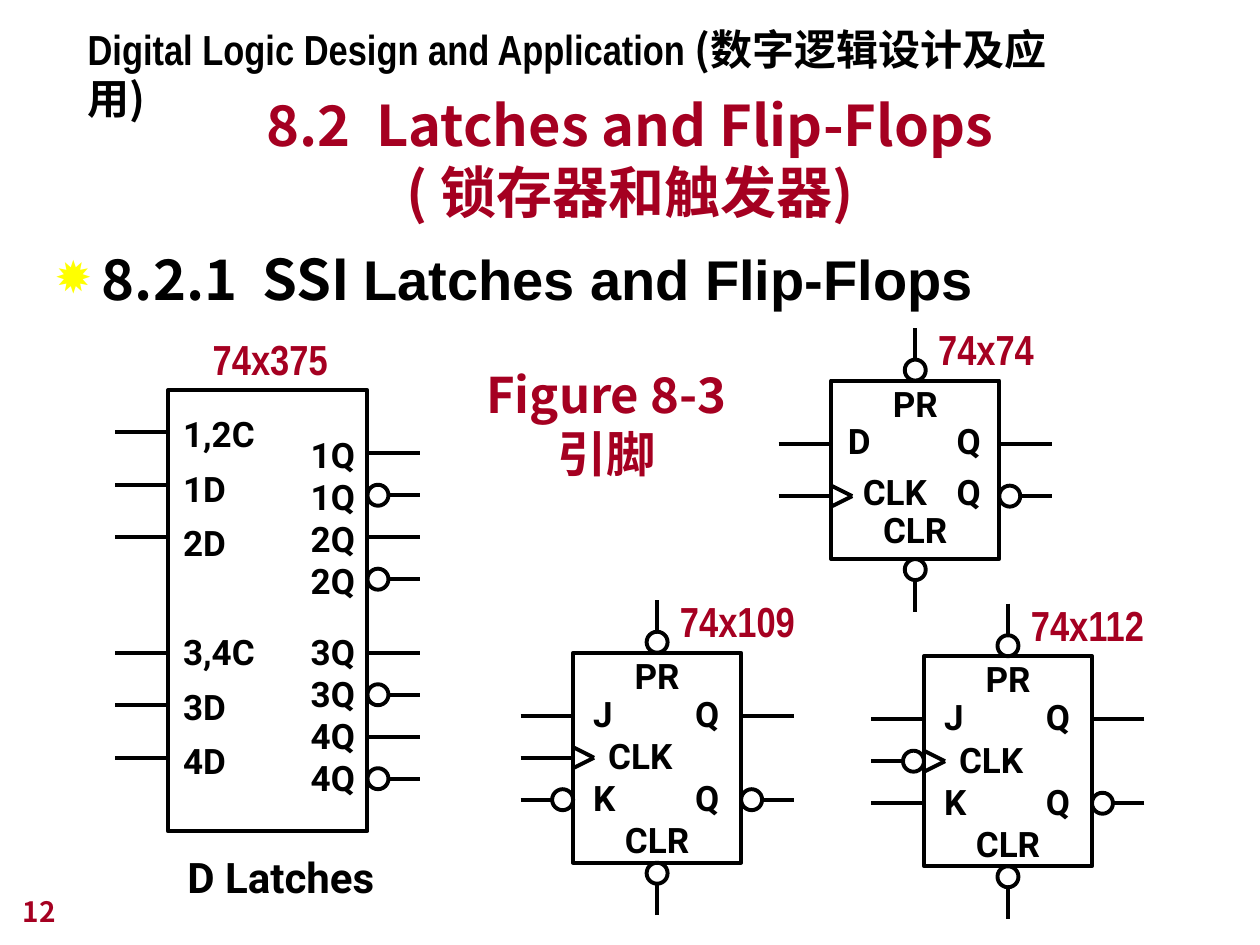
from lxml.etree import SubElement
from pptx import Presentation
from pptx.dml.color import RGBColor
from pptx.enum.shapes import MSO_CONNECTOR as CXN, MSO_SHAPE as SHAPE
from pptx.enum.text import MSO_ANCHOR as ANCHOR, MSO_AUTO_SIZE as FIT, PP_ALIGN as ALIGN
from pptx.oxml.ns import qn
from pptx.util import Pt

BLACK = RGBColor(0, 0, 0)
RED = RGBColor(0xA5, 0x00, 0x21)
CJK, NARROW, ROBOTO = "Noto Sans CJK JP", "Arial Narrow", "Roboto"
LEAD, BUBBLE = 30, 12  # pin length and inversion circle diameter


def add_run(p, text, size, font, color=BLACK):
    r = p.add_run()
    r.text = text
    f = r.font
    f.size, f.name, f.bold = Pt(size), font, True
    f.color.rgb = color
    SubElement(r.font._element, qn("a:ea"), typeface=font)


def set_frame(tf, wrap=True, insets=(7.2, 3.6, 7.2, 3.6), anchor=ANCHOR.TOP):
    tf.word_wrap, tf.auto_size, tf.vertical_anchor = wrap, FIT.NONE, anchor
    (tf.margin_left, tf.margin_top,
     tf.margin_right, tf.margin_bottom) = map(Pt, insets)
    return tf


def place(sp, box):
    sp.left, sp.top, sp.width, sp.height = map(Pt, box)
    return sp


def add_text(shapes, box, **frame):
    sp = shapes.add_textbox(*map(Pt, box))
    return set_frame(sp.text_frame, **frame)


def next_paragraph(tf, first):
    return tf.paragraphs[0] if first else tf.add_paragraph()


def add_tabs(p, *stops):
    tabs = SubElement(p._p.get_or_add_pPr(), qn("a:tabLst"))
    for pos, align in stops:
        SubElement(tabs, qn("a:tab"), pos=str(Pt(pos)), algn=align)


# Chip parts
def add_line(shapes, x1, y1, x2, y2):
    cx = shapes.add_connector(CXN.STRAIGHT, *map(Pt, (x1, y1, x2, y2)))
    cx.line.color.rgb, cx.line.width = BLACK, Pt(2.25)
    SubElement(cx._element.spPr, qn("a:effectLst"))
    return cx


def add_outline(shapes, kind, box):
    sp = shapes.add_shape(kind, *map(Pt, box))
    sp.shadow.inherit = False
    sp.fill.background()
    sp.line.color.rgb, sp.line.width = BLACK, Pt(2.25)
    return sp


def add_pin(shapes, body, box, side, pos, bubble=False):
    x, y, w, h = box
    ex, ey, dx, dy = {
        "left": (x, y + pos, -1, 0), "right": (x + w, y + pos, 1, 0),
        "top": (x + pos, y, 0, -1), "bottom": (x + pos, y + h, 0, 1)}[side]
    gap = BUBBLE if bubble else 0
    line = add_line(shapes, ex + dx * LEAD, ey + dy * LEAD, ex + dx * gap, ey + dy * gap)
    if bubble:
        r = BUBBLE / 2
        add_outline(shapes, SHAPE.OVAL,
                    (ex + dx * r - r, ey + dy * r - r, BUBBLE, BUBBLE))
    elif side == "left" and pos == h / 2:
        line.end_connect(body, 1)


def add_chip(slide, box, name, name_dx, pins):
    """Draw a body, its pins and its name; pins are (side, position, bubble)."""
    x, y = box[:2]
    shapes = slide.shapes.add_group_shape().shapes
    body = add_outline(shapes, SHAPE.RECTANGLE, box)
    for pin in pins:
        add_pin(shapes, body, box, *pin)
    tf = add_text(shapes, (x + name_dx, y - 36, 80, 36), wrap=False)
    add_run(tf.paragraphs[0], name, 24, NARROW, RED)
    return shapes, body


def add_latch_chip(slide, box):
    inputs = [("left", pos, False) for pos in (24, 54, 84, 150, 180, 210)]
    outputs = [("right", start + 24 * i, i % 2 == 1)
               for start in (36, 150) for i in range(4)]
    shapes, body = add_chip(slide, box, "74x375", 18.5, inputs + outputs)
    # Output names
    tf = set_frame(body.text_frame, insets=(7.2, 24.5, 7.2, 3.6))
    for i, label in enumerate(("1Q", "1Q", "2Q", "2Q", "3Q", "3Q", "4Q", "4Q")):
        p = next_paragraph(tf, i == 0)
        p.alignment = ALIGN.RIGHT
        p.space_before = Pt(16.5 if i == 4 else 0)
        add_run(p, label, 20, ROBOTO)
    # Input names
    tf = add_text(shapes, (box[0] + 1.5, box[1] + 2, 57, 226), wrap=False)
    for i, label in enumerate(("1,2C", "1D", "2D", "3,4C", "3D", "4D")):
        p = next_paragraph(tf, i == 0)
        p.line_spacing = 1.3
        p.space_before = Pt(31 if i == 3 else 0)
        add_run(p, label, 20, ROBOTO)


def add_flip_flop(slide, box, name, rows, pins, clock, indent):
    """Rows are (text, line spacing); a row with tabs spans both sides."""
    x, y = box[:2]
    control = [("top", 48, True), ("bottom", 48, True)]
    shapes, body = add_chip(slide, box, name, 54, pins + control)
    # Clock wedge
    for dy in (-6, 6):
        add_line(shapes, x, y + clock + dy, x + 12, y + clock)
    # Pin names
    tf = set_frame(body.text_frame, insets=(indent, 3.6, indent, 3.6))
    for i, (label, spacing) in enumerate(rows):
        p = next_paragraph(tf, i == 0)
        spread = "\t" in label
        p.alignment = ALIGN.LEFT if spread else ALIGN.CENTER
        p.line_spacing = spacing
        if spread:
            right = (95 - 2 * indent, "r")
            add_tabs(p, *([(8.5, "l")] if label[0] == "\t" else []), right)
        add_run(p, label, 20, ROBOTO)


# Headings
def add_headings(slide):
    title = place(slide.shapes.title, (54, 45, 612, 83.5))
    tf = set_frame(title.text_frame, insets=(7.2, 3.6, 7.2, 0), anchor=ANCHOR.BOTTOM)
    p = tf.paragraphs[0]
    p.alignment, p.line_spacing = ALIGN.CENTER, Pt(38.5)
    add_run(p, "8.2  Latches and Flip-Flops", 32, CJK, RED)
    p.add_line_break()
    add_run(p, "( 锁存器和触发器)", 32, CJK, RED)

    body = place(slide.placeholders[1], (24, 133, 672, 390))
    p = set_frame(body.text_frame, insets=(7.2, 6.6, 7.2, 3.6)).paragraphs[0]
    pPr = p._p.get_or_add_pPr()
    pPr.set("marL", str(Pt(27)))
    pPr.set("indent", str(Pt(-27)))
    SubElement(SubElement(pPr, qn("a:buClr")), qn("a:srgbClr"), val="FFFF00")
    SubElement(pPr, qn("a:buSzPct"), val="80000")
    SubElement(pPr, qn("a:buChar"), char="✹")
    p.line_spacing, p.space_before = Pt(38.5), Pt(0)
    add_run(p, "8.2.1  SSI ", 32, CJK)
    add_run(p, "Latches and Flip-Flops", 32, "Arial")


def add_captions(slide):
    shapes = slide.shapes
    # Course name
    tf = add_text(shapes, (43, 10, 605.5, 36), insets=(7.2, 3.6, 25, 3.6))
    p = tf.paragraphs[0]
    p.line_spacing = Pt(28.5)
    add_run(p, "Digital Logic Design and Application ", 24, NARROW)
    add_run(p, "(数字逻辑设计及应用)", 24, CJK)
    # Figure label
    tf = add_text(shapes, (270.5, 205, 152, 75))
    for i, text in enumerate(("Figure 8-3", "引脚")):
        p = next_paragraph(tf, i == 0)
        p.alignment, p.line_spacing = ALIGN.CENTER, Pt(33.5)
        add_run(p, text, 28, CJK, RED)
    # Latch caption and slide number
    tf = add_text(shapes, (100, 483, 130, 36), wrap=False)
    add_run(tf.paragraphs[0], "D Latches", 24, ROBOTO)
    tf = add_text(shapes, (6, 498, 150, 36), anchor=ANCHOR.BOTTOM)
    add_run(tf.paragraphs[0], "12", 16, CJK, RED)


def main():
    prs = Presentation()
    prs.slide_width, prs.slide_height = Pt(720), Pt(540)
    slide = prs.slides.add_slide(prs.slide_layouts[1])
    add_headings(slide)
    add_latch_chip(slide, (96, 223, 114, 252))
    d_rows = [("PR", 0.9), ("D\tQ", 0.9), ("\tCLK\tQ", 1.2), ("CLR", 0.9)]
    d_pins = [("left", 36), ("left", 66), ("right", 36), ("right", 66, True)]
    add_flip_flop(slide, (475, 217.5, 96, 102), "74x74", d_rows, d_pins, 66, 9.5)
    jk_rows = [("PR", 0.9), ("J\tQ", 0.9), ("\tCLK", 1), ("K\tQ", 1), ("CLR", 1)]
    for name, x, y, inverted in (("74x109", 327.5, 373, 84), ("74x112", 528, 375, 60)):
        jk_pins = [("left", pos, pos == inverted) for pos in (36, 60, 84)]
        jk_pins += [("right", 36), ("right", 84, True)]
        add_flip_flop(slide, (x, y, 96, 120), name, jk_rows, jk_pins, 60, 11.5)
    add_captions(slide)
    prs.save("out.pptx")


if __name__ == "__main__":
    main()
